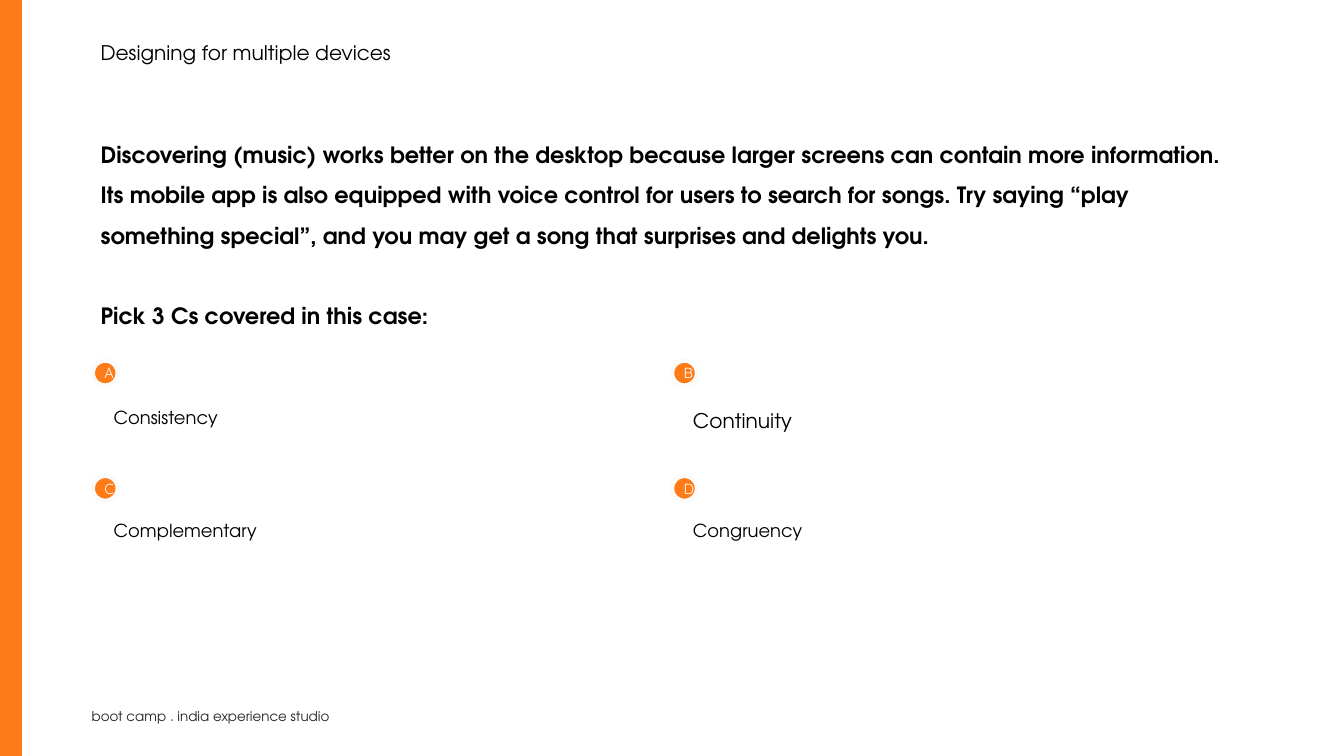
from pptx import Presentation
from pptx.dml.color import RGBColor
from pptx.enum.shapes import MSO_SHAPE as Preset
from pptx.enum.text import MSO_ANCHOR as Anchor, PP_ALIGN as Align
from pptx.util import Cm, Pt

TITLE = "Designing for multiple devices"
FOOTER = "boot camp . india experience studio"
CASE = (
    "Discovering (music) works better on the desktop because larger screens "
    "can contain more information. Its mobile app is also equipped with voice "
    "control for users to search for songs. Try saying “play something special”, "
    "and you may get a song that surprises and delights you."
)
QUESTION = "Pick 3 Cs covered in this case:"
ANSWERS = [
    ("A", "Consistency", 16),
    ("B", "Continuity", 18),
    ("C", "Complementary", 16),
    ("D", "Congruency", 16),
]

ORANGE, WHITE, RING, BLACK, GRAY = "FF7B17", "FFFFFF", "FBFBFB", "000000", "262626"
BODY_FONT, BADGE_FONT = "TeX Gyre Adventor", "Quicksand"

SLIDE_W, SLIDE_H = 42.32, 23.8
LEFT, COLUMN_STEP = 2.92, 18.24
CARD_TOP, CARD_STEP, CARD_W, CARD_H = 11.84, 3.56, 17.53, 2.64
BADGE_TOP, BADGE_STEP, BADGE_SIZE = 11.35, 3.63, 0.79
PAD_X, PAD_Y = 0.41, 0.51


def color(hex_code):
    return RGBColor.from_string(hex_code)


def style(para, text, hex_code=BLACK, spacing=None, **font_values):
    """Write text into a paragraph and set its line spacing and font."""
    span = para.add_run()
    span.text = text
    span.font.color.rgb = color(hex_code)
    for name, value in ({"name": BODY_FONT} | font_values).items():
        setattr(span.font, name, value)
    if spacing:
        para.line_spacing = spacing


def add_shape(page, preset, left, top, width, height, fill, ring=None):
    shape = page.shapes.add_shape(preset, Cm(left), Cm(top), Cm(width), Cm(height))
    shape.shadow.inherit = False
    shape.fill.solid()
    shape.fill.fore_color.rgb = color(fill)
    if ring:
        shape.line.color.rgb = color(ring)
        shape.line.width = Pt(4)
    else:
        shape.line.fill.background()
    return shape


def add_text(page, left, top, width, height, *texts, gap=0, **values):
    """Add a wrapped text box, one paragraph per text, gap points apart."""
    box = page.shapes.add_textbox(Cm(left), Cm(top), Cm(width), Cm(height))
    frame = box.text_frame
    frame.word_wrap = True
    for index, text in enumerate(texts):
        para = frame.add_paragraph() if index else frame.paragraphs[0]
        if index:
            para.space_before = Pt(gap)
        style(para, text, **values)


def add_answer(page, index, letter, answer, size):
    row, column = divmod(index, 2)
    left = LEFT + column * COLUMN_STEP
    top = CARD_TOP + row * CARD_STEP
    add_shape(page, Preset.RECTANGLE, left, top, CARD_W, CARD_H, WHITE)
    add_text(page, left + PAD_X, top + PAD_Y, CARD_W - 2 * PAD_X, 1.5,
             answer, size=Pt(size), spacing=1.5)

    badge = add_shape(page, Preset.OVAL, left, BADGE_TOP + row * BADGE_STEP,
                      BADGE_SIZE, BADGE_SIZE, ORANGE, RING)
    badge.text_frame.vertical_anchor = Anchor.MIDDLE
    para = badge.text_frame.paragraphs[0]
    para.alignment = Align.CENTER
    style(para, letter, WHITE, name=BADGE_FONT, size=Pt(13))


def main():
    deck = Presentation()
    deck.slide_width, deck.slide_height = Cm(SLIDE_W), Cm(SLIDE_H)
    page = deck.slides.add_slide(deck.slide_layouts[6])

    add_shape(page, Preset.RECTANGLE, 0, 0, 0.69, SLIDE_H, ORANGE)
    add_text(page, 2.64, 22.17, 21.18, 0.76, FOOTER, hex_code=GRAY, size=Pt(12))
    add_text(page, LEFT, 3.89, 36.5, 6.76, CASE, QUESTION,
             gap=36, size=Pt(20), bold=True, spacing=1.5)
    for index, answer in enumerate(ANSWERS):
        add_answer(page, index, *answer)
    add_text(page, LEFT, 1.22, 15.95, 0.81, TITLE, size=Pt(18), spacing=0.9)

    deck.save("out.pptx")


if __name__ == "__main__":
    main()
